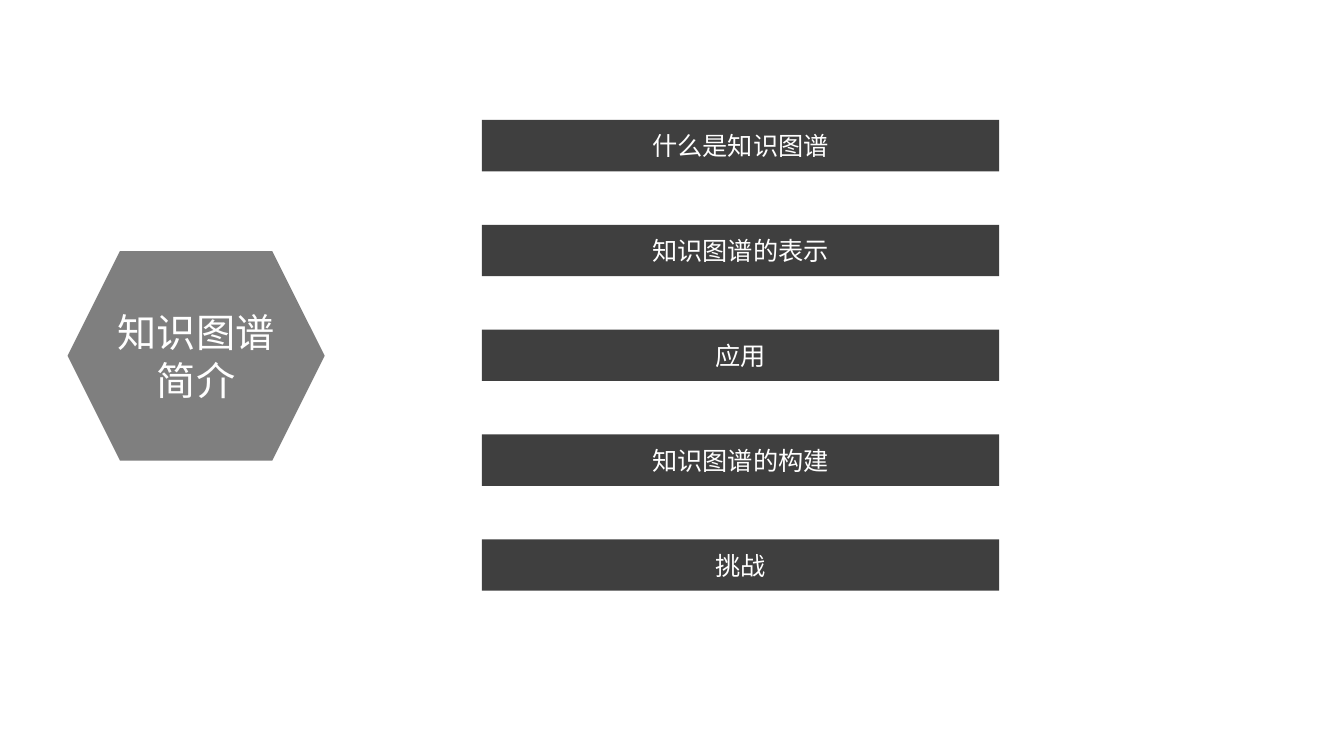
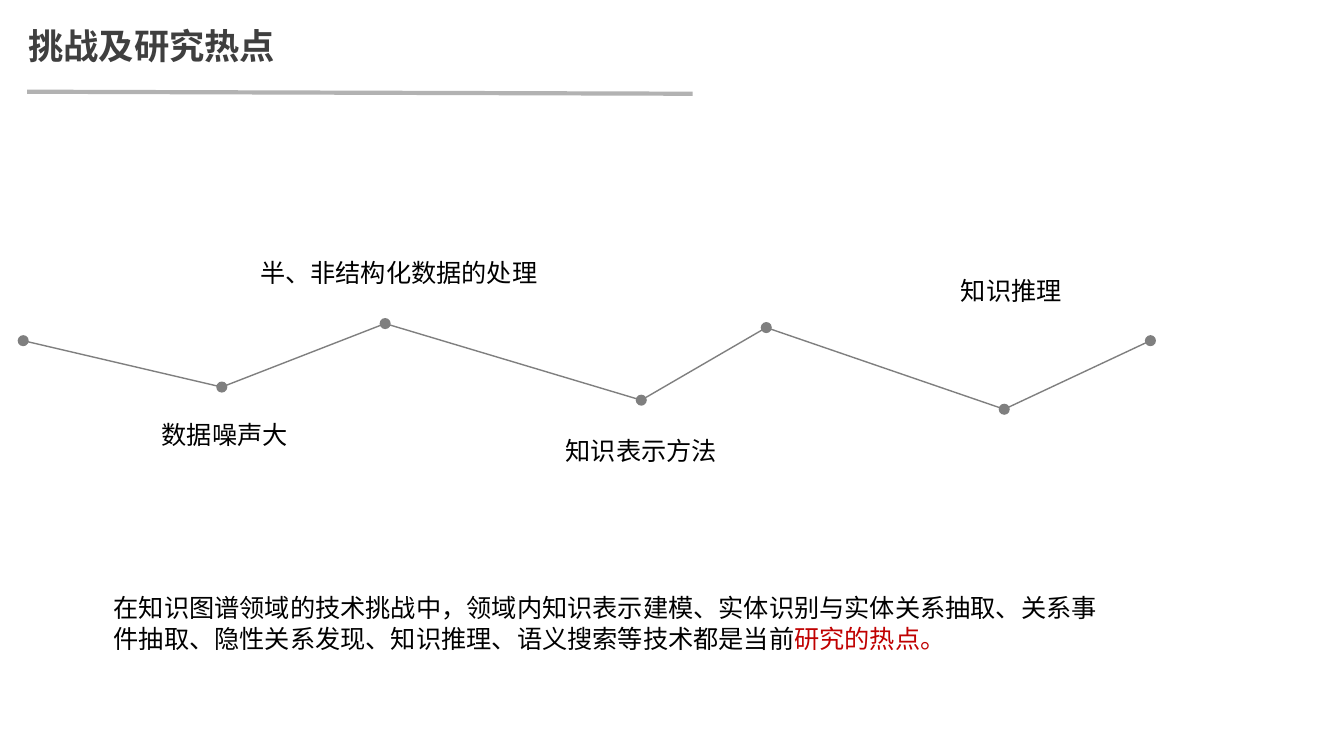
from dataclasses import dataclass
from lxml.etree import SubElement
from pptx import Presentation
from pptx.dml.color import RGBColor
from pptx.enum.shapes import MSO_CONNECTOR, MSO_SHAPE
from pptx.enum.text import MSO_ANCHOR, PP_ALIGN
from pptx.oxml.ns import qn
from pptx.util import Inches, Pt

TOPIC = ["知识图谱", "简介"]
SECTIONS = ["什么是知识图谱", "知识图谱的表示", "应用", "知识图谱的构建", "挑战"]
CHALLENGE_TITLE = "挑战及研究热点"
TREND_POINTS = [(0.23, 3.38), (2.2, 3.84), (3.82, 3.21), (6.36, 3.97),
                (7.6, 3.25), (9.96, 4.06), (11.41, 3.38)]
CHALLENGES = [
    (" 数据噪声大", (0.67, 4.11, 3.06, 0.4)),
    ("半、非结构化数据的处理", (1.61, 2.5, 4.69, 0.4)),
    ("知识表示方法", (4.17, 4.27, 4.38, 0.4)),
    ("知识推理", (8.74, 2.68, 2.58, 0.4)),
]
SUMMARY = ("在知识图谱领域的技术挑战中，领域内知识表示建模、实体识别与实体关系抽取、"
           "关系事件抽取、隐性关系发现、知识推理、语义搜索等技术都是当前")
SUMMARY_HIGHLIGHT = "研究的热点。"


@dataclass(frozen=True)
class Theme:
    """Colours, fonts and type sizes shared by the slides."""
    dark: str = "3F3F3F"
    grey: str = "7F7F7F"
    rule: str = "B2B2B2"
    text: str = "000000"
    light: str = "FFFFFF"
    accent: str = "C00000"
    title_font: str = "Montserrat"
    body_font: str = "Arial"
    shape_font: str = "Noto Sans CJK SC"
    title_size: float = 25.2
    topic_size: float = 28
    body_size: float = 18


THEME = Theme()


def place(box):
    """Turn a box in inches into lengths."""
    return [Inches(value) for value in box]


def add_run(paragraph, text, size, font, color, bold=False):
    """Append one formatted run."""
    run = paragraph.add_run()
    run.text = text
    run.font.size = Pt(size)
    run.font.name = font
    run.font.bold = bold
    run.font.color.rgb = RGBColor.from_string(color)


def add_filled_shape(shapes, kind, box, fill):
    """Add a flat preset shape without outline."""
    shape = shapes.add_shape(kind, *place(box))
    shape.shadow.inherit = False
    shape.fill.solid()
    shape.fill.fore_color.rgb = RGBColor.from_string(fill)
    shape.line.fill.background()
    return shape


def add_label_shape(slide, kind, box, fill, lines, size):
    """Add a filled shape with centred lines of text."""
    frame = add_filled_shape(slide.shapes, kind, box, fill).text_frame
    frame.vertical_anchor = MSO_ANCHOR.MIDDLE
    for index, line in enumerate(lines):
        paragraph = frame.add_paragraph() if index else frame.paragraphs[0]
        paragraph.alignment = PP_ALIGN.CENTER
        add_run(paragraph, line, size, THEME.shape_font, THEME.light)


def add_text(slide, box, runs, alignment):
    """Add a wrapping text box from (text, colour) runs."""
    frame = slide.shapes.add_textbox(*place(box)).text_frame
    frame.word_wrap = True
    paragraph = frame.paragraphs[0]
    paragraph.alignment = alignment
    for text, color in runs:
        add_run(paragraph, text, THEME.body_size, THEME.body_font, color)


def add_title(slide, text):
    """Fill the title placeholder and draw the rule below it."""
    title = slide.shapes.title
    title.left, title.top, title.width, title.height = place((0.18, 0.24, 11.5, 0.48))
    frame = title.text_frame
    frame.vertical_anchor = MSO_ANCHOR.MIDDLE
    paragraph = frame.paragraphs[0]
    paragraph.alignment = PP_ALIGN.LEFT
    paragraph.line_spacing = 0.9
    add_run(paragraph, text, THEME.title_size, THEME.title_font, THEME.dark, bold=True)
    rule = slide.shapes.add_connector(MSO_CONNECTOR.STRAIGHT, *place((0.27, 0.91, 6.87, 0.93)))
    rule.line.color.rgb = RGBColor.from_string(THEME.rule)
    rule.line.width = Pt(3)
    SubElement(rule.element.spPr, qn("a:effectLst"))


def add_trend(slide, points, diameter=0.11):
    """Draw a zigzag line with a dot on every point."""
    shapes = slide.shapes.add_group_shape().shapes
    start, *others = [place(point) for point in points]
    builder = shapes.build_freeform(*start)
    builder.add_line_segments(others, close=False)
    zigzag = builder.convert_to_shape()
    zigzag.shadow.inherit = False
    zigzag.fill.background()
    zigzag.line.color.rgb = RGBColor.from_string(THEME.grey)
    zigzag.line.width = Pt(1)
    for x, y in points:
        box = (x - diameter / 2, y - diameter / 2, diameter, diameter)
        add_filled_shape(shapes, MSO_SHAPE.OVAL, box, THEME.grey)


def build_agenda(presentation):
    """Build the agenda slide."""
    slide = presentation.slides.add_slide(presentation.slide_layouts[6])
    add_label_shape(slide, MSO_SHAPE.HEXAGON, (0.67, 2.49, 2.55, 2.08), THEME.grey,
                    TOPIC, THEME.topic_size)
    top, pitch = 1.19, 1.04
    for index, section in enumerate(SECTIONS):
        add_label_shape(slide, MSO_SHAPE.RECTANGLE, (4.78, top + index * pitch, 5.13, 0.51),
                        THEME.dark, [section], THEME.body_size)


def build_challenges(presentation):
    """Build the challenges slide."""
    slide = presentation.slides.add_slide(presentation.slide_layouts[5])
    add_title(slide, CHALLENGE_TITLE)
    add_trend(slide, TREND_POINTS)
    for text, box in CHALLENGES:
        add_text(slide, box, [(text, THEME.text)], PP_ALIGN.CENTER)
    add_text(slide, (1.03, 5.83, 10.03, 0.71),
             [(SUMMARY, THEME.text), (SUMMARY_HIGHLIGHT, THEME.accent)], PP_ALIGN.LEFT)


def main():
    """Create and save the presentation."""
    presentation = Presentation()
    presentation.slide_width, presentation.slide_height = place((13.33, 7.5))
    build_agenda(presentation)
    build_challenges(presentation)
    presentation.save("out.pptx")


main()
